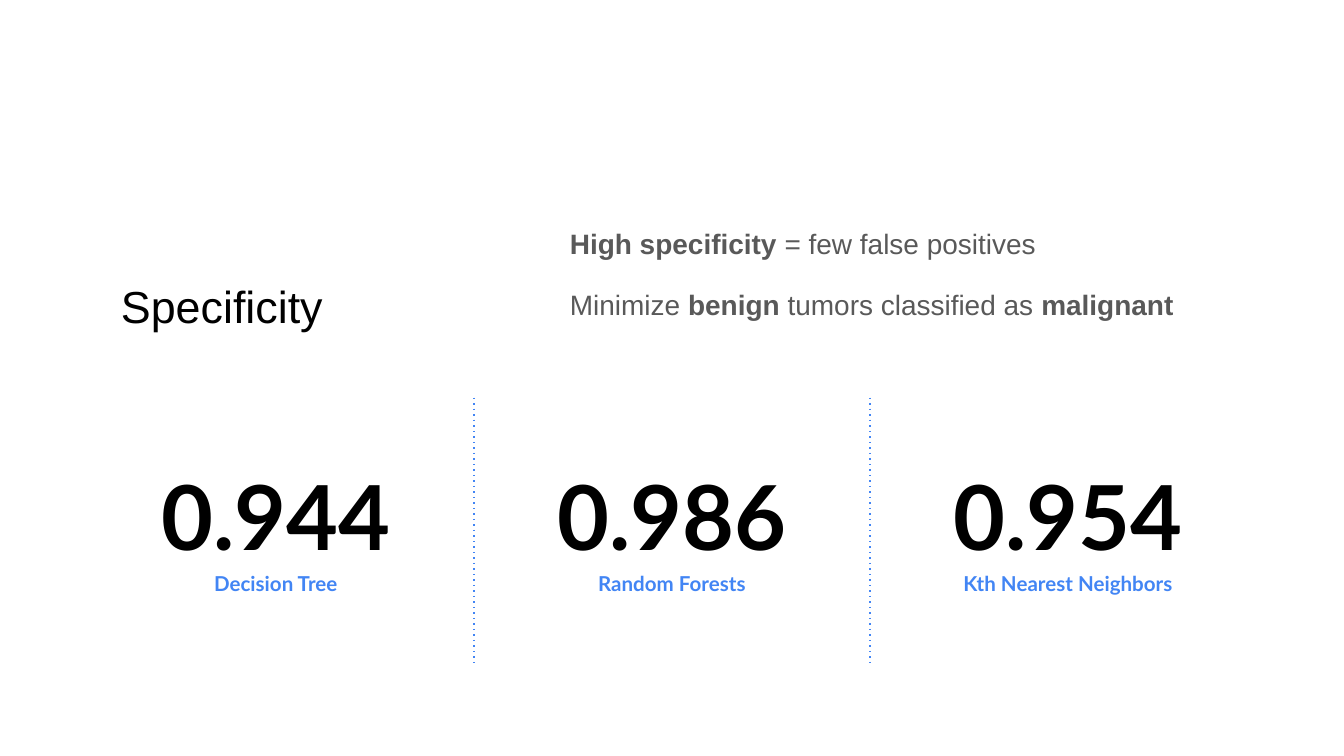
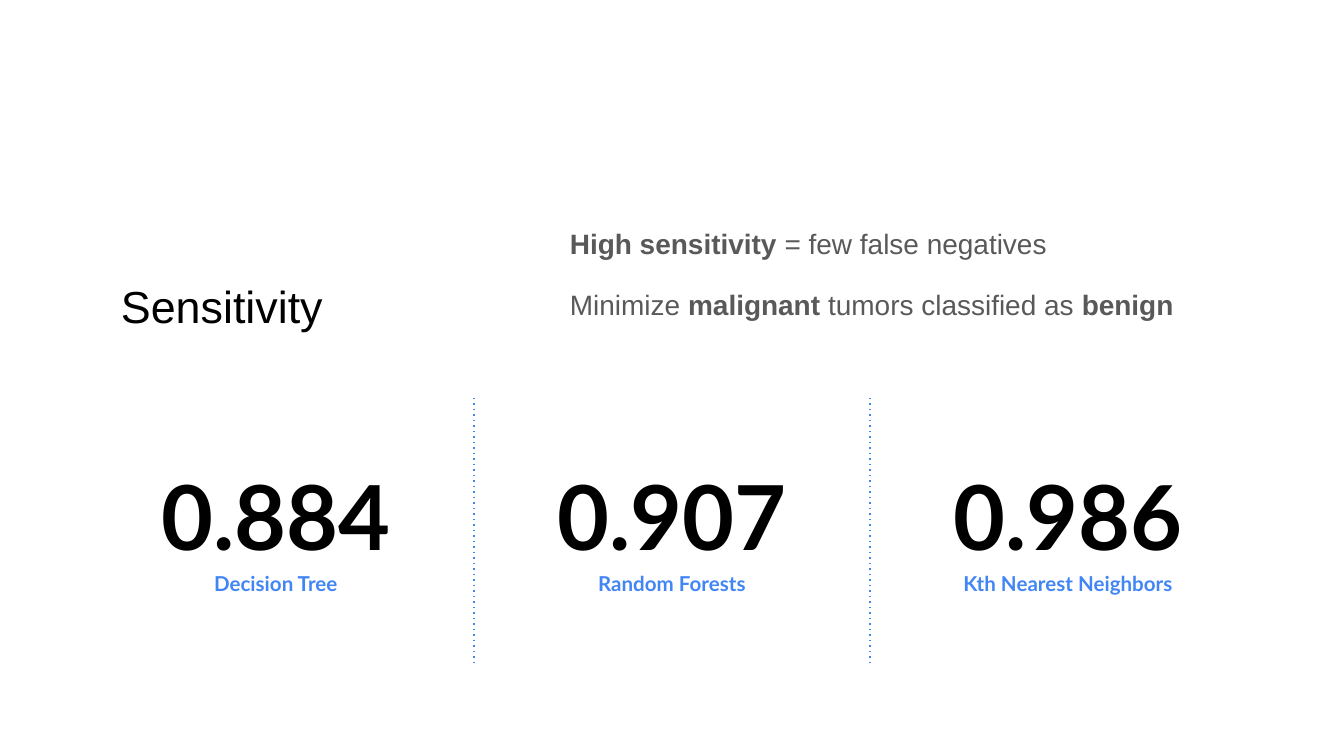
from dataclasses import dataclass

from lxml import etree
from pptx import Presentation
from pptx.dml.color import RGBColor
from pptx.enum import dml, shapes, text
from pptx.oxml import ns
from pptx.util import Pt


@dataclass(frozen=True)
class TextStyle:
    font: str
    size: float
    color: str
    bold: bool = False
    align: int = text.PP_ALIGN.LEFT
    line_spacing: float = 1.0
    space_after: float = 0


class Theme:
    ACCENT = "4285F4"
    INSET = 7.2
    RULE_WIDTH = 0.75
    TITLE = TextStyle("Arial", 24, "000000")
    BODY = TextStyle("Arial", 15, "595959", line_spacing=1.15)
    SCORE = TextStyle("Lato", 48, "000000", True, text.PP_ALIGN.CENTER, 1.15, 16)
    LABEL = TextStyle("Lato", 11, ACCENT, True, text.PP_ALIGN.CENTER, 1.15, 16)


SLIDE_WIDTH, SLIDE_HEIGHT = 720, 405
TITLE_BOX = (57.6, 103.7, 220.3, 81.4)
BODY_BOX = (298.1, 111.6, 378, 81.4)
COLUMN_PITCH = 212.2
SCORE_TOP, SCORE_WIDTH, SCORE_HEIGHT = 231.1, 181.4, 74.9
LABEL_TOP, LABEL_WIDTH, LABEL_HEIGHT = 296.6, 162.7, 58.3
DIVIDER_TOP, DIVIDER_BOTTOM = 213.1, 357.1

MODELS = ["Decision Tree", "Random Forests", "Kth Nearest Neighbors"]
# Text between ** marks is bold.
METRICS = [
    ("Specificity",
     ["**High specificity **= few false positives",
      "Minimize **benign **tumors classified as **malignant**"],
     ["0.944", "0.986", "0.954"]),
    ("Sensitivity",
     ["**High sensitivity **= few false negatives",
      "Minimize **malignant **tumors classified as **benign**"],
     ["0.884", "0.907", "0.986"]),
]


class Deck:
    def __init__(self, theme):
        self.theme = theme
        self.presentation = Presentation()
        self.presentation.slide_width = Pt(SLIDE_WIDTH)
        self.presentation.slide_height = Pt(SLIDE_HEIGHT)
        self.slide = None

    def add_slide(self):
        layout = self.presentation.slide_layouts.get_by_name("Title and Content")
        self.slide = self.presentation.slides.add_slide(layout)

    def frame(self, shape, box, anchor=text.MSO_ANCHOR.TOP):
        """Place a shape and return its text frame with the shared insets."""
        shape.left, shape.top, shape.width, shape.height = map(Pt, box)
        frame = shape.text_frame
        frame.word_wrap = True
        frame.auto_size = text.MSO_AUTO_SIZE.NONE
        frame.vertical_anchor = anchor
        frame.margin_left = frame.margin_right = Pt(self.theme.INSET)
        frame.margin_top = frame.margin_bottom = Pt(self.theme.INSET)
        return frame

    def fill_paragraph(self, paragraph, content, style):
        for index, part in enumerate(content.split("**")):
            if part:
                run = paragraph.add_run()
                run.text = part
                run.font.bold = style.bold or index % 2 == 1
        paragraph.alignment = style.align
        paragraph.line_spacing = style.line_spacing
        paragraph.space_before = Pt(0)
        paragraph.space_after = Pt(style.space_after)
        paragraph.font.name = style.font
        paragraph.font.size = Pt(style.size)
        paragraph.font.color.rgb = RGBColor.from_string(style.color)

    def title(self, content):
        frame = self.frame(self.slide.shapes.title, TITLE_BOX, text.MSO_ANCHOR.BOTTOM)
        self.fill_paragraph(frame.paragraphs[0], content, self.theme.TITLE)

    def body(self, lines):
        frame = self.frame(self.slide.placeholders[1], BODY_BOX)
        for index, line in enumerate(lines):
            paragraph = frame.add_paragraph() if index else frame.paragraphs[0]
            properties = paragraph._p.get_or_add_pPr()
            properties.set("marL", "0")
            properties.set("indent", "0")
            etree.SubElement(properties, ns.qn("a:buNone"))
            self.fill_paragraph(paragraph, line, self.theme.BODY)
            if index:
                paragraph.space_before = paragraph.space_after = Pt(12)

    def centered_text(self, content, center, top, width, height, style):
        box = (center - width / 2, top, width, height)
        shape = self.slide.shapes.add_textbox(*map(Pt, box))
        self.fill_paragraph(self.frame(shape, box).paragraphs[0], content, style)

    def divider(self, x):
        line = self.slide.shapes.add_connector(
            shapes.MSO_CONNECTOR.STRAIGHT,
            Pt(x), Pt(DIVIDER_TOP), Pt(x), Pt(DIVIDER_BOTTOM))
        line.line.color.rgb = RGBColor.from_string(self.theme.ACCENT)
        line.line.width = Pt(self.theme.RULE_WIDTH)
        line.line.dash_style = dml.MSO_LINE.ROUND_DOT
        # ROUND_DOT may map to "sysDot"; the rule uses the wider "dot".
        line._element.spPr.find(".//" + ns.qn("a:prstDash")).set("val", "dot")
        etree.SubElement(line._element.spPr, ns.qn("a:effectLst"))

    def scores(self, values):
        for index, (value, model) in enumerate(zip(values, MODELS)):
            center = SLIDE_WIDTH / 2 + (index - 1) * COLUMN_PITCH
            if index:
                self.divider(center - COLUMN_PITCH / 2)
            self.centered_text(value, center, SCORE_TOP, SCORE_WIDTH,
                               SCORE_HEIGHT, self.theme.SCORE)
            self.centered_text(model, center, LABEL_TOP, LABEL_WIDTH,
                               LABEL_HEIGHT, self.theme.LABEL)


def main():
    deck = Deck(Theme())
    for name, meaning, values in METRICS:
        deck.add_slide()
        deck.title(name)
        deck.body(meaning)
        deck.scores(values)
    deck.presentation.save("out.pptx")


if __name__ == "__main__":
    main()
